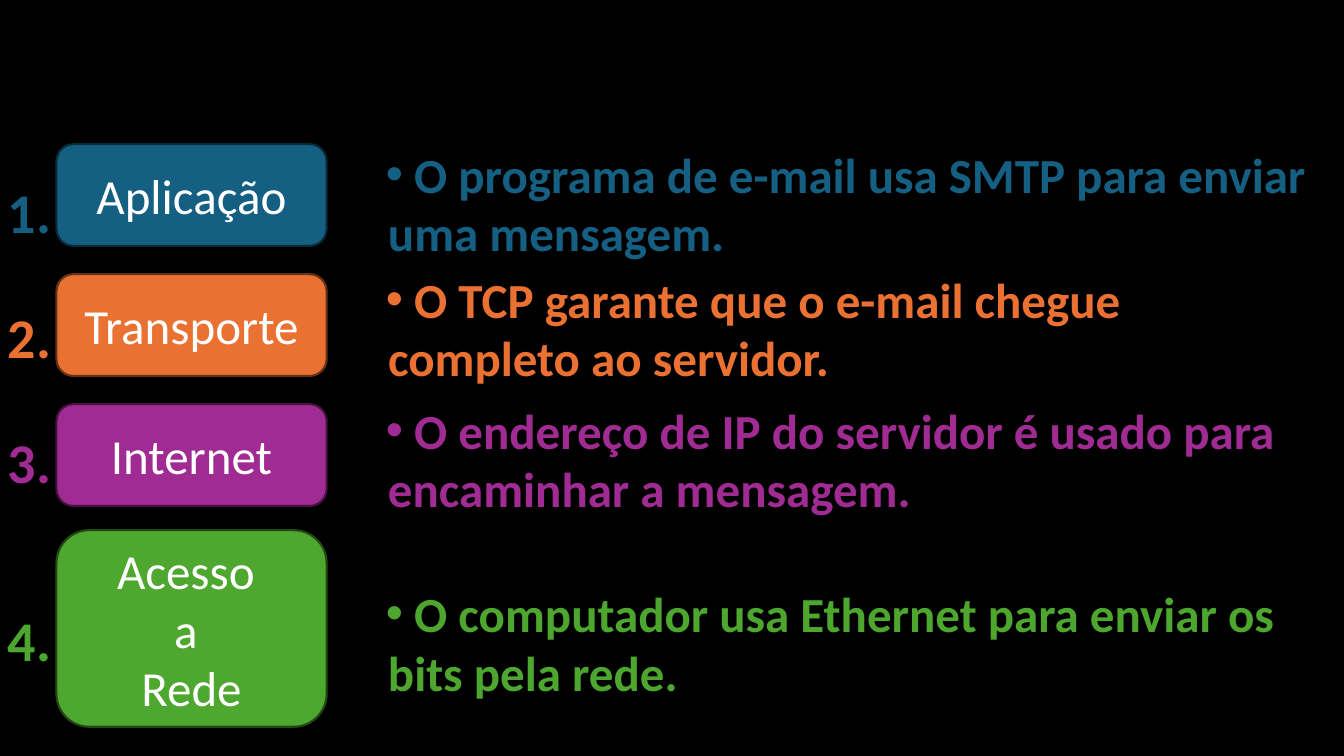
from dataclasses import dataclass

from lxml.etree import SubElement
from pptx import Presentation
from pptx.dml.color import RGBColor
from pptx.enum.shapes import MSO_SHAPE
from pptx.enum.text import MSO_ANCHOR, MSO_AUTO_SIZE, PP_ALIGN
from pptx.oxml.ns import qn
from pptx.slide import Slide
from pptx.text.text import TextFrame, _Paragraph
from pptx.util import Inches, Pt

BLACK = RGBColor(0x00, 0x00, 0x00)
WHITE = RGBColor(0xFF, 0xFF, 0xFF)
BLUE = RGBColor(0x15, 0x60, 0x82)
DARK_BLUE = RGBColor(0x09, 0x2A, 0x39)
ORANGE = RGBColor(0xE9, 0x71, 0x32)
TEXT_ORANGE = RGBColor(0xEA, 0x71, 0x31)
DARK_ORANGE = RGBColor(0x66, 0x32, 0x16)
PURPLE = RGBColor(0xA0, 0x2B, 0x93)
DARK_PURPLE = RGBColor(0x46, 0x13, 0x40)
GREEN = RGBColor(0x4E, 0xA7, 0x2E)
TEXT_GREEN = RGBColor(0x4D, 0xA7, 0x2E)
DARK_GREEN = RGBColor(0x22, 0x49, 0x14)

FONT = "Calibri"
LABEL_SIZE = 35
NUMBER_SIZE = 40
HANGING_INDENT = 0.02


@dataclass(frozen=True)
class Layer:
    name_lines: tuple[str, ...]
    example: str
    fill: RGBColor
    outline: RGBColor
    text_color: RGBColor
    box_top: float
    number_top: float
    example_top: float
    box_height: float = 1.01
    example_width: float = 9.66


LAYERS = (
    Layer(("Aplicação",), "O programa de e-mail usa SMTP para enviar uma mensagem.",
          BLUE, DARK_BLUE, BLUE, 1.43, 1.38, 1.38),
    Layer(("Transporte",), "O TCP garante que o e-mail chegue completo ao servidor.",
          ORANGE, DARK_ORANGE, TEXT_ORANGE, 2.72, 2.62, 2.62, example_width=9.32),
    Layer(("Internet",), "O endereço de IP do servidor é usado para encaminhar a mensagem.",
          PURPLE, DARK_PURPLE, PURPLE, 4.01, 3.86, 3.92),
    Layer(("Acesso ", "a ", "Rede"), "O computador usa Ethernet para enviar os bits pela rede.",
          GREEN, DARK_GREEN, TEXT_GREEN, 5.26, 5.62, 5.74, box_height=1.95),
)


def add_span(para: _Paragraph, text: str, size: float, color: RGBColor, bold: bool = False) -> None:
    span = para.add_run()
    span.text = text
    span.font.name = FONT
    span.font.size = Pt(size)
    span.font.bold = bold
    span.font.color.rgb = color


def add_text_frame(page: Slide, left: float, top: float, width: float, height: float) -> TextFrame:
    box = page.shapes.add_textbox(Inches(left), Inches(top), Inches(width), Inches(height))
    frame = box.text_frame
    frame.word_wrap = True
    frame.auto_size = MSO_AUTO_SIZE.SHAPE_TO_FIT_TEXT
    return frame


def add_bullet(para: _Paragraph) -> None:
    properties = para._p.get_or_add_pPr()
    properties.set("marL", str(Inches(HANGING_INDENT)))
    properties.set("indent", str(-Inches(HANGING_INDENT)))
    SubElement(properties, qn("a:buFont"), typeface="Arial")
    SubElement(properties, qn("a:buChar"), char="•")


def add_number(page: Slide, number: int, layer: Layer) -> None:
    para = add_text_frame(page, -0.02, layer.number_top, 0.65, 1.01).paragraphs[0]
    para.line_spacing = 1.5
    add_span(para, f"{number}.", NUMBER_SIZE, layer.text_color, bold=True)


def add_example(page: Slide, layer: Layer) -> None:
    frame = add_text_frame(page, 3.73, layer.example_top, layer.example_width, 1.28)
    para = frame.paragraphs[0]
    add_bullet(para)
    add_span(para, f" {layer.example}", LABEL_SIZE, layer.text_color, bold=True)


def add_layer_box(page: Slide, layer: Layer) -> None:
    box = page.shapes.add_shape(MSO_SHAPE.ROUNDED_RECTANGLE, Inches(0.56), Inches(layer.box_top),
                                Inches(2.68), Inches(layer.box_height))
    box.shadow.inherit = False
    box.fill.solid()
    box.fill.fore_color.rgb = layer.fill
    box.line.color.rgb = layer.outline
    box.line.width = Pt(1.5)
    frame = box.text_frame
    frame.word_wrap = True
    frame.vertical_anchor = MSO_ANCHOR.MIDDLE
    for index, line in enumerate(layer.name_lines):
        para = frame.add_paragraph() if index else frame.paragraphs[0]
        para.alignment = PP_ALIGN.CENTER
        add_span(para, line, LABEL_SIZE, WHITE)


def main() -> None:
    deck = Presentation()
    deck.slide_width = Inches(13.33)
    deck.slide_height = Inches(7.5)
    page = deck.slides.add_slide(deck.slide_layouts[6])
    page.background.fill.solid()
    page.background.fill.fore_color.rgb = BLACK
    for number, layer in enumerate(LAYERS, start=1):
        add_example(page, layer)
        add_layer_box(page, layer)
        add_number(page, number, layer)
    deck.save("out.pptx")


if __name__ == "__main__":
    main()
